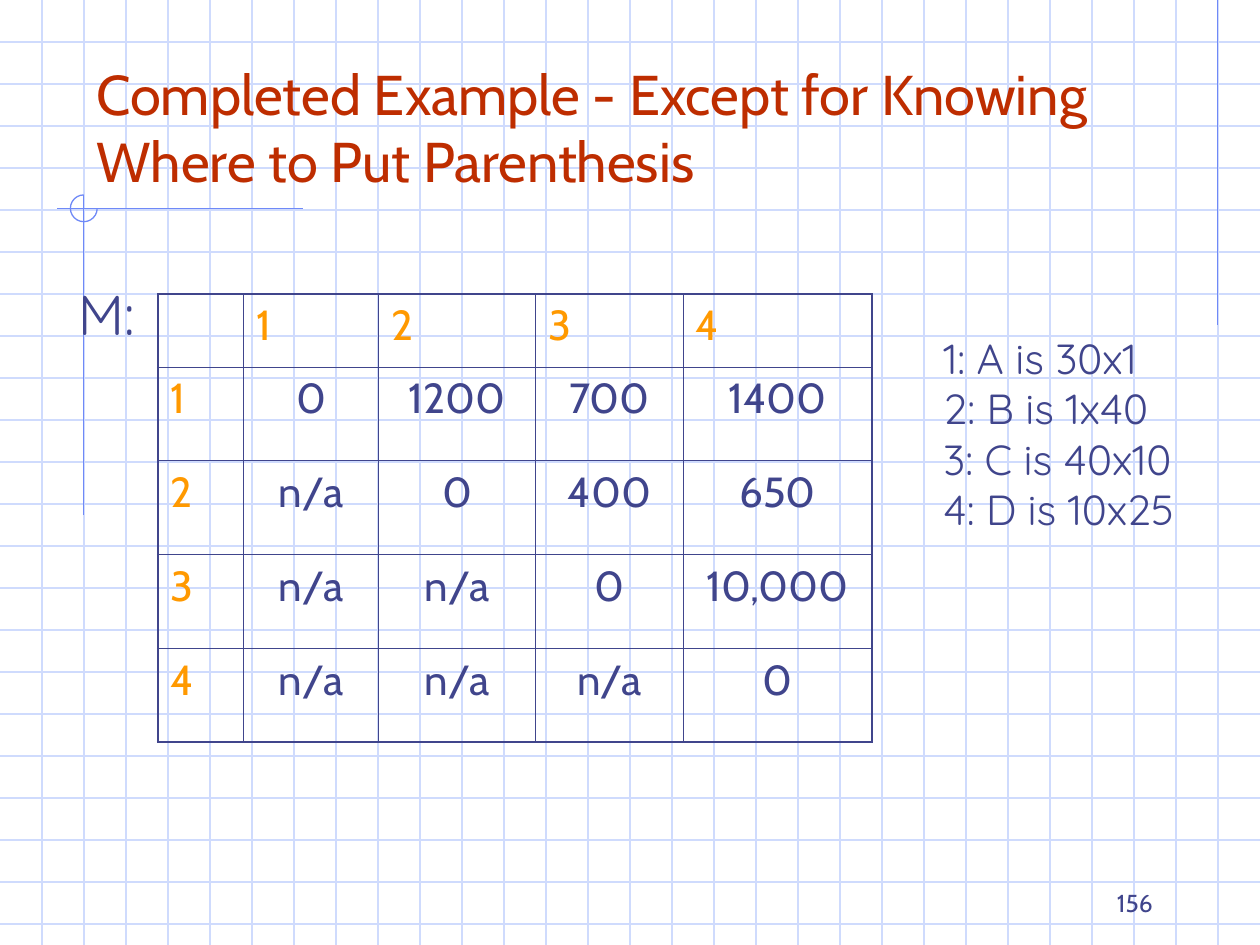
from lxml import etree
from pptx import Presentation
from pptx import util as u
from pptx.dml import color
from pptx.enum import shapes, text
from pptx.oxml import ns

SLIDE_WIDTH, SLIDE_HEIGHT = 25.4, 19.05
GRID_STEP = SLIDE_WIDTH / 30
GRID_COLOUR, ACCENT = "CFDBFD", "6F89F7"
RED, NAVY, ORANGE = "BE2D00", "40458C", "FF9900"
HEADING_FONT, BODY_FONT = "Cabin", "Quicksand"
LEFT, CENTER, RIGHT = text.PP_ALIGN.LEFT, text.PP_ALIGN.CENTER, text.PP_ALIGN.RIGHT

COSTS = [
    ["", "1", "2", "3", "4"],
    ["1", "0", "1200", "700", "1400"],
    ["2", "n/a", "0", "400", "650"],
    ["3", "n/a", "n/a", "0", "10,000"],
    ["4", "n/a", "n/a", "n/a", "0"],
]
COLUMN_WIDTHS = [1.73, 2.72, 3.17, 2.97, 3.81]
ROW_HEIGHTS = [1.47] + [1.89] * 4
MATRIX_SIZES = ["1: A is 30x1", "2: B is 1x40", "3: C is 40x10", "4: D is 10x25"]


def rgb(value):
    return color.RGBColor.from_string(value)


def format_text(text_frame, size, font, colour, alignment=LEFT):
    for paragraph in text_frame.paragraphs:
        paragraph.alignment = alignment
        for run in paragraph.runs:
            run.font.size = u.Pt(size)
            run.font.name = font
            run.font.bold = False
            run.font.color.rgb = rgb(colour)


def style_line(shape, colour):
    shape.line.color.rgb = rgb(colour)
    shape.line.width = u.Pt(0.75)


def add_line(slide, x1, y1, x2, y2, colour):
    line = slide.shapes.add_connector(
        shapes.MSO_CONNECTOR.STRAIGHT, u.Cm(x1), u.Cm(y1), u.Cm(x2), u.Cm(y2))
    style_line(line, colour)
    etree.SubElement(line.element.spPr, ns.qn("a:effectLst"))


def add_graph_paper(slide):
    for row in range(1, 23):
        add_line(slide, 0, row * GRID_STEP, SLIDE_WIDTH, row * GRID_STEP, GRID_COLOUR)
    for column in range(1, 30):
        add_line(slide, column * GRID_STEP, 0, column * GRID_STEP, SLIDE_HEIGHT, GRID_COLOUR)


def add_accents(slide):
    add_line(slide, 24.55, 0, 24.55, 6.56, ACCENT)
    add_line(slide, 6.1, 4.2, 1.14, 4.2, ACCENT)
    add_line(slide, 1.69, 3.93, 1.69, 10.39, ACCENT)
    arc = slide.shapes.add_shape(
        shapes.MSO_SHAPE.ARC, u.Cm(1.42), u.Cm(3.93), u.Cm(0.54), u.Cm(0.54))
    arc.adjustments[0], arc.adjustments[1] = 0, 162  # right, clockwise to the top
    arc.shadow.inherit = False
    arc.fill.background()
    style_line(arc, ACCENT)


def format_title(slide, wording):
    title = slide.shapes.title
    title.left, title.top = u.Cm(1.69), u.Cm(0.85)
    title.width, title.height = u.Cm(21.59), u.Cm(3.18)
    title.text_frame.text = wording
    title.text_frame.vertical_anchor = text.MSO_ANCHOR.BOTTOM
    title.text_frame.auto_size = text.MSO_AUTO_SIZE.NONE
    format_text(title.text_frame, 32, HEADING_FONT, RED)
    title.element.getparent().append(title.element)  # in front of the graph paper


def add_label(slide, wording, left, top, width, height, size):
    """Add unwrapped text that sizes its own box."""
    box = slide.shapes.add_textbox(u.Cm(left), u.Cm(top), u.Cm(width), u.Cm(height))
    box.text_frame.word_wrap = False
    box.text_frame.auto_size = text.MSO_AUTO_SIZE.SHAPE_TO_FIT_TEXT
    box.text_frame.text = wording
    format_text(box.text_frame, size, BODY_FONT, NAVY)


def add_slide_number(slide, number):
    box = slide.shapes.add_textbox(u.Cm(18.21), u.Cm(17.35), u.Cm(5.28), u.Cm(1.27))
    box.text_frame.word_wrap = True
    box.text_frame.vertical_anchor = text.MSO_ANCHOR.BOTTOM
    box.text_frame.text = number
    format_text(box.text_frame, 14, HEADING_FONT, NAVY, RIGHT)


def set_borders(cell, outer_sides):
    properties = cell._tc.get_or_add_tcPr()
    for side in "LRTB":
        width = u.Pt(1.08 if side in outer_sides else 0.45)
        border = etree.SubElement(properties, ns.qn(f"a:ln{side}"), w=str(width))
        fill = etree.SubElement(border, ns.qn("a:solidFill"))
        etree.SubElement(fill, ns.qn("a:srgbClr"), val=NAVY)


def add_cost_table(slide):
    row_count, column_count = len(COSTS), len(COSTS[0])
    table = slide.shapes.add_table(
        row_count, column_count, u.Cm(3.18), u.Cm(5.93),
        u.Cm(sum(COLUMN_WIDTHS)), u.Cm(sum(ROW_HEIGHTS))).table
    table.first_row = table.horz_banding = False
    for column, width in zip(table.columns, COLUMN_WIDTHS):
        column.width = u.Cm(width)
    for row, height in zip(table.rows, ROW_HEIGHTS):
        row.height = u.Cm(height)
    for r, values in enumerate(COSTS):
        for c, value in enumerate(values):
            cell = table.cell(r, c)
            edges = {"L": c == 0, "R": c == column_count - 1,
                     "T": r == 0, "B": r == row_count - 1}
            set_borders(cell, [side for side, is_outer in edges.items() if is_outer])
            cell.fill.background()
            cell.text_frame.text = value
            is_header = r == 0 or c == 0
            format_text(cell.text_frame, 24, HEADING_FONT,
                        ORANGE if is_header else NAVY, LEFT if is_header else CENTER)


def main():
    presentation = Presentation()
    presentation.slide_width = u.Cm(SLIDE_WIDTH)
    presentation.slide_height = u.Cm(SLIDE_HEIGHT)
    slide = presentation.slides.add_slide(presentation.slide_layouts.get_by_name("Title Only"))
    add_graph_paper(slide)
    add_accents(slide)
    format_title(slide, "Completed Example - Except for Knowing Where to Put Parenthesis")
    add_label(slide, "M:", 1.32, 5.51, 1.83, 1.63, 32)
    add_cost_table(slide)
    add_label(slide, "\n".join(MATRIX_SIZES), 18.77, 6.58, 5.51, 4.32, 24)
    add_slide_number(slide, "156")
    presentation.save("out.pptx")


if __name__ == "__main__":
    main()
